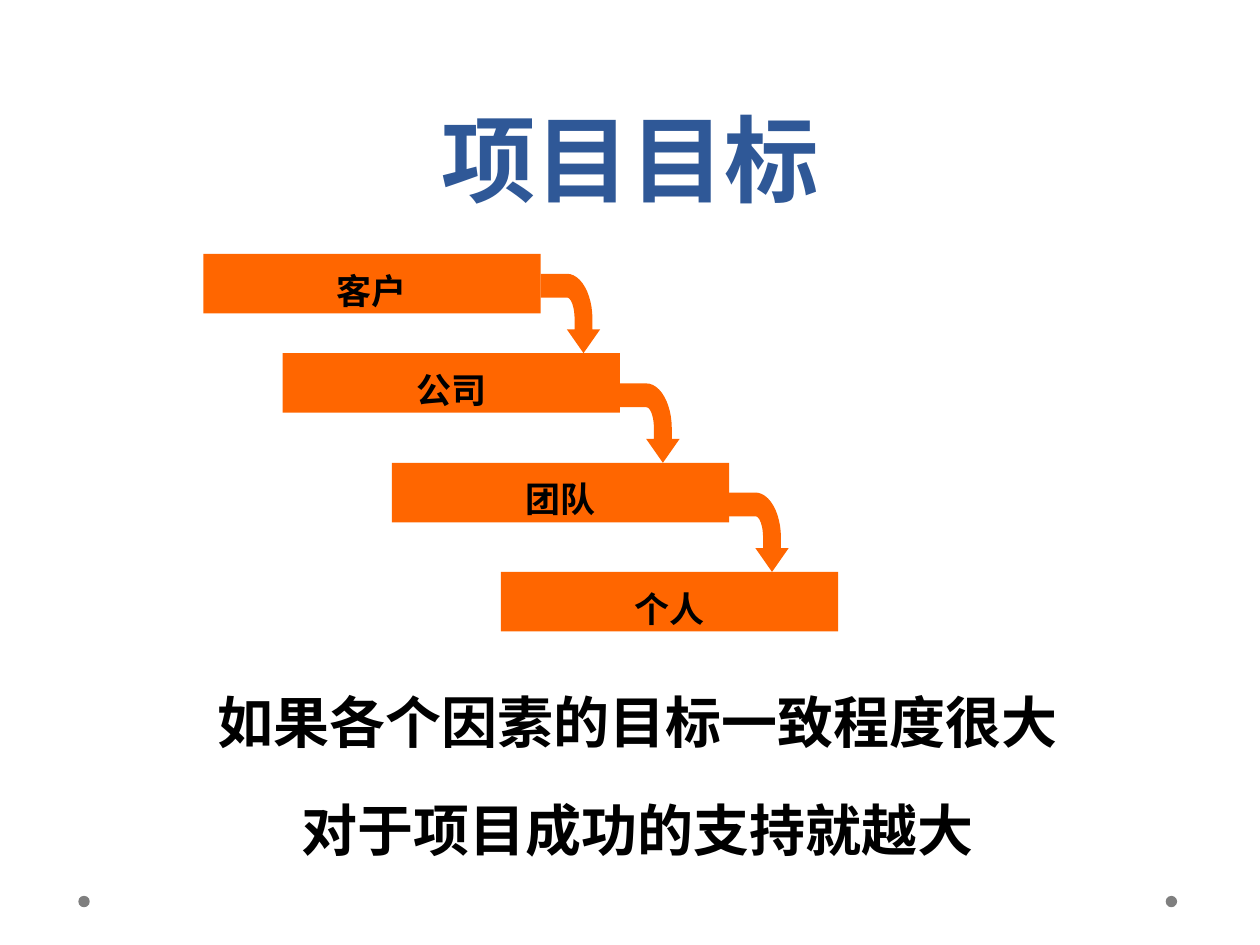
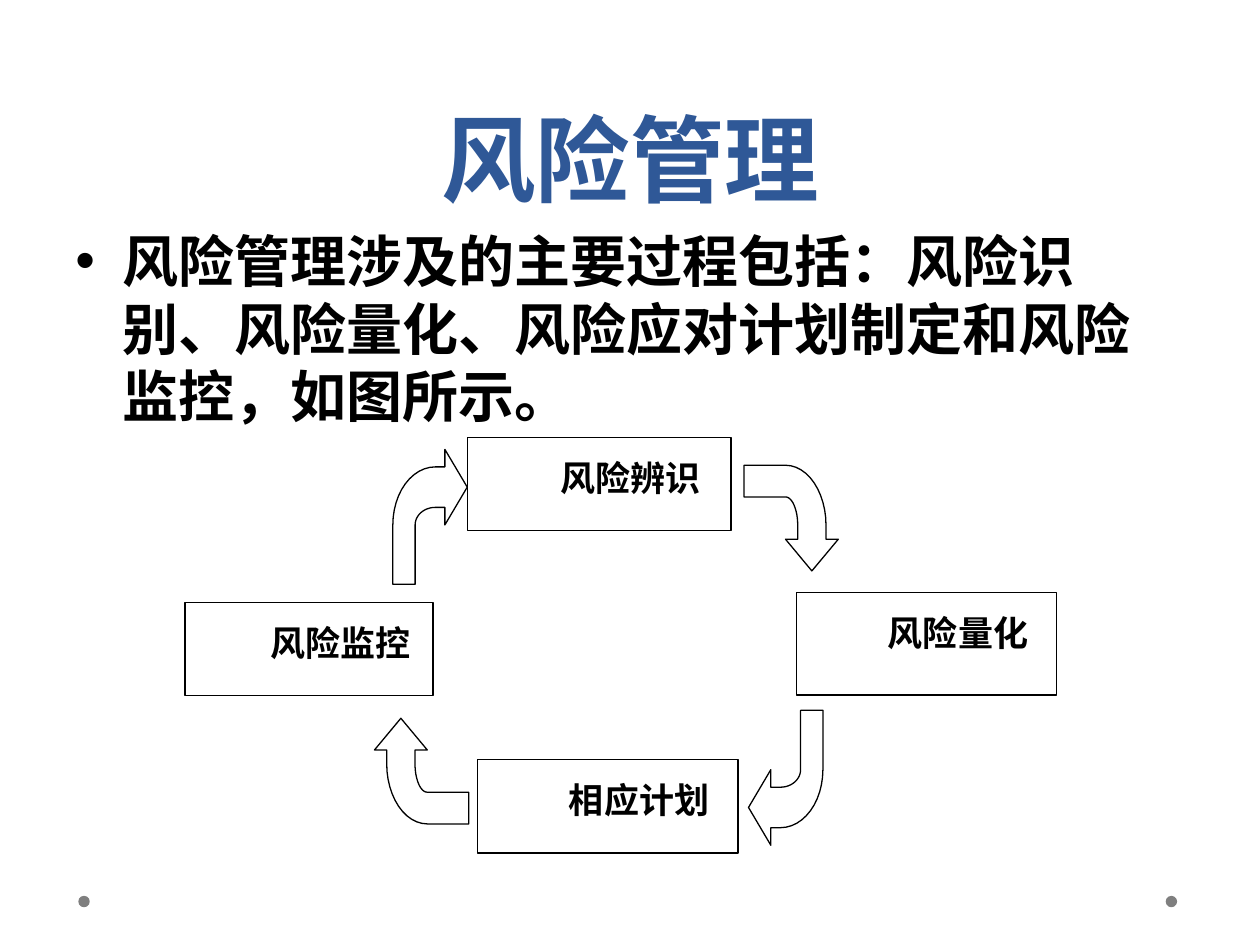
import math

import pptx
import pptx.dml.color
import pptx.enum.shapes
import pptx.enum.text
import pptx.util
from lxml import etree

Cm = pptx.util.Cm
Pt = pptx.util.Pt
MSO_SHAPE = pptx.enum.shapes.MSO_SHAPE
ANCHOR = pptx.enum.text.MSO_ANCHOR
ALIGN = pptx.enum.text.PP_ALIGN

BLUE, ORANGE, GREY, BLACK, WHITE = "2F5897", "FF6600", "7F7F7F", "000000", "FFFFFF"

# All lengths below are in centimetres.
DOT_LEFTS, DOT_TOP, DOT_SIZE = (23.5, 1.58), 18.06, 0.23

GOALS_TITLE = "项目目标"
GOAL_SIZE = (6.8, 1.2)
GOAL_ARROW_SIZE = (1.2, 1.6)
GOALS = [  # label, left, top
    ("客户", 4.1, 5.12),
    ("公司", 5.7, 7.12),
    ("团队", 7.9, 9.33),
    ("个人", 10.1, 11.53),
]
CONCLUSION = ["如果各个因素的目标一致程度很大", "对于项目成功的支持就越大"]

RISK_TITLE = "风险管理"
RISK_INTRO = "风险管理涉及的主要过程包括：风险识别、风险量化、风险应对计划制定和风险监控，如图所示。"
RISK_STEPS = [  # label, box
    ("风险辨识", (9.43, 8.82, 5.31, 1.88)),
    ("相应计划", (9.62, 15.31, 5.26, 1.89)),
    ("风险监控", (3.73, 12.15, 5, 1.87)),
    ("风险量化", (16.06, 11.95, 5.24, 2.06)),
]
RISK_ARROWS = [  # box, clockwise quarter turns
    ((7.92, 9.06, 1.5, 2.72), 3),
    ((15, 9.38, 1.9, 2.13), 0),
    ((15.09, 14.32, 1.5, 2.72), 1),
    ((7.55, 14.48, 1.9, 2.13), 2),
]


def rgb(color):
    return pptx.dml.color.RGBColor.from_string(color)


def paint(sp, fill, line=None):
    sp.shadow.inherit = False
    sp.fill.solid()
    sp.fill.fore_color.rgb = rgb(fill)
    if line:
        sp.line.color.rgb = rgb(line)
        sp.line.width = Pt(0.75)
    else:
        sp.line.fill.background()


def add_box(s, shape, box, fill, line=None):
    sp = s.shapes.add_shape(shape, *map(Cm, box))
    paint(sp, fill, line)
    return sp


def write(sp, lines, font, size, color=BLACK, align=ALIGN.CENTER, anchor=ANCHOR.TOP,
          spacing=None, gap=0, indent=0, bullet=None):
    """Fill a shape with bold paragraphs; gap is the points between them."""
    tf = sp.text_frame
    tf.word_wrap = True
    tf.vertical_anchor = anchor
    for i, text in enumerate(lines):
        p = tf.paragraphs[0] if i == 0 else tf.add_paragraph()
        p.alignment = align
        p.line_spacing = spacing
        if i:
            p.space_before = Pt(gap)
        pPr = p._p.get_or_add_pPr()
        pPr.set("hangingPunct", "0")
        if indent:
            pPr.set("marL", str(Cm(indent)))
        if bullet:
            pPr.set("indent", str(-Cm(indent)))
            ns = pPr.nsmap["a"]
            etree.SubElement(pPr, f"{{{ns}}}buFont", typeface="Arial")
            etree.SubElement(pPr, f"{{{ns}}}buChar", char=bullet)
        r = p.add_run()
        r.text = text
        r.font.name, r.font.size, r.font.bold = font, Pt(size), True
        r.font.color.rgb = rgb(color)


def add_text(s, box, lines, font, size, **style):
    sp = s.shapes.add_textbox(*map(Cm, box))
    write(sp, lines, font, size, **style)


def arc(rx, ry, start, end, steps=12):
    """Points on an ellipse around the centre of the arrow's bend."""
    angles = (math.radians(start + (end - start) * i / steps) for i in range(steps + 1))
    return [(0.44 + rx * math.cos(a), 0.57 - ry * math.sin(a)) for a in angles]


# Unit outline: runs right from the left edge, then bends down to its tip.
BENT_ARROW = [(0.72, 1), (1, 0.7), (0.87, 0.7), *arc(0.43, 0.57, 0, 90), (0, 0), (0, 0.3),
              *arc(0.13, 0.27, 90, 0), (0.57, 0.7), (0.44, 0.7)]


def add_bent_arrow(s, box, fill, line=None, turns=0):
    left, top, width, height = box
    points = BENT_ARROW
    for _ in range(turns):
        points = [(1 - y, x) for x, y in points]
    points = [(Cm(left + x * width), Cm(top + y * height)) for x, y in points]
    builder = s.shapes.build_freeform(*points[0])
    builder.add_line_segments(points[1:], close=True)
    paint(builder.convert_to_shape(), fill, line)


def add_slide(prs, title):
    s = prs.slides.add_slide(prs.slide_layouts[6])
    for left in DOT_LEFTS:
        add_box(s, MSO_SHAPE.OVAL, (left, DOT_TOP, DOT_SIZE, DOT_SIZE), GREY)
    add_text(s, (1.28, 0, 22.86, 4.45), [title], "Cabin", 54, color=BLUE,
             anchor=ANCHOR.BOTTOM, spacing=Pt(58))
    return s


def goals_slide(prs):
    s = add_slide(prs, GOALS_TITLE)
    width, height = GOAL_SIZE
    for label, left, top in GOALS:
        sp = add_box(s, MSO_SHAPE.RECTANGLE, (left, top, width, height), ORANGE)
        write(sp, [label], "Times New Roman", 20, anchor=ANCHOR.MIDDLE, spacing=1.3)
    arrow_w, arrow_h = GOAL_ARROW_SIZE
    for (_, left, _), (_, _, next_top) in zip(GOALS, GOALS[1:]):
        add_bent_arrow(s, (left + width, next_top - arrow_h, arrow_w, arrow_h), ORANGE)
    add_text(s, (4.12, 13.32, 17.48, 4.19), CONCLUSION, "Times New Roman", 32,
             spacing=1.3, gap=12)


def risk_slide(prs):
    s = add_slide(prs, RISK_TITLE)
    add_text(s, (1.27, 4.45, 22.86, 12.57), [RISK_INTRO], "Cabin", 32,
             align=ALIGN.LEFT, indent=0.95, bullet="•")
    for label, box in RISK_STEPS:
        sp = add_box(s, MSO_SHAPE.RECTANGLE, box, WHITE, BLACK)
        write(sp, [label], "Calibri", 20, spacing=1.3, indent=1.27)
    for box, turns in RISK_ARROWS:
        add_bent_arrow(s, box, WHITE, BLACK, turns)


def main():
    prs = pptx.Presentation()
    prs.slide_width, prs.slide_height = Cm(25.4), Cm(19.05)
    goals_slide(prs)
    risk_slide(prs)
    prs.save("out.pptx")


if __name__ == "__main__":
    main()
